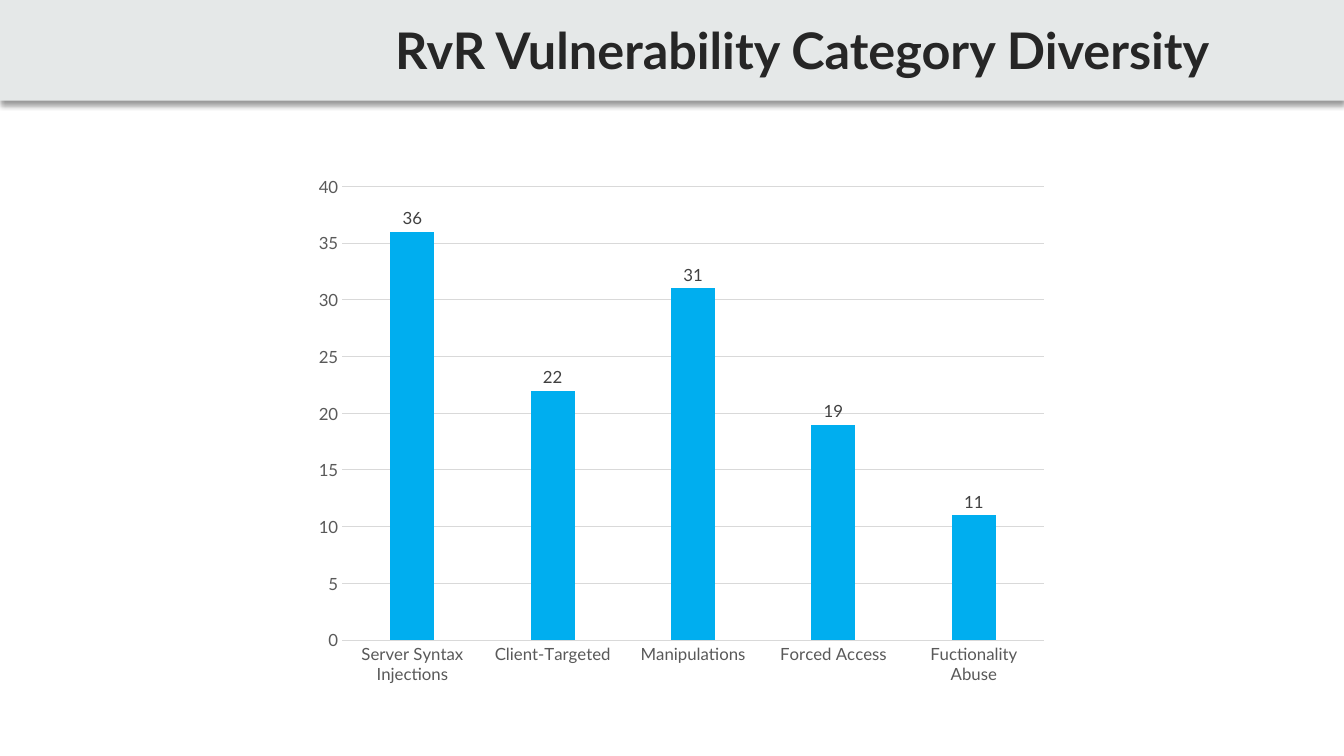
from lxml import etree
from pptx import Presentation
from pptx.chart.data import CategoryChartData
from pptx.dml.color import RGBColor
from pptx.enum.chart import XL_CHART_TYPE, XL_LABEL_POSITION, XL_TICK_MARK
from pptx.enum.shapes import MSO_SHAPE
from pptx.enum.text import MSO_ANCHOR, MSO_AUTO_SIZE, PP_ALIGN
from pptx.oxml import parse_xml
from pptx.oxml.ns import nsdecls, qn
from pptx.util import Inches, Pt


def color(hex_string):
    return RGBColor.from_string(hex_string)


def style_font(font, size, hex_string):
    font.name = "Lato"
    font.size = Pt(size)
    font.color.rgb = color(hex_string)


prs = Presentation()
prs.slide_width, prs.slide_height = Inches(13.33), Inches(7.5)
s = prs.slides.add_slide(prs.slide_layouts[5])

# Header band with a soft shadow, placed behind the title
band = s.shapes.add_shape(MSO_SHAPE.RECTANGLE, 0, 0, prs.slide_width, Inches(1))
band.fill.solid()
band.fill.fore_color.rgb = color("E5E8E8")
band.line.fill.background()
band.shadow.inherit = False
effects = band._element.spPr.find(qn("a:effectLst"))
effects.append(parse_xml(
    f'<a:outerShdw {nsdecls("a")} blurRad="{Pt(4)}" dist="{Pt(3)}" dir="5400000" '
    'algn="t" rotWithShape="0"><a:srgbClr val="000000"><a:alpha val="40000"/>'
    '</a:srgbClr></a:outerShdw>'))
s.shapes._spTree.insert(2, band._element)

# Title
title = s.shapes.title
title.left, title.top = Inches(3.82), Inches(-0.33)
title.width, title.height = Inches(9.51), Inches(1.17)
tf = title.text_frame
tf.text = "RvR Vulnerability Category Diversity"
tf.word_wrap = True
tf.auto_size = MSO_AUTO_SIZE.NONE
tf.vertical_anchor = MSO_ANCHOR.BOTTOM
p = tf.paragraphs[0]
p.alignment = PP_ALIGN.LEFT
p.line_spacing = 0.8
r = p.runs[0]
style_font(r.font, 36, "262626")
r.font.bold = True

# Column chart
data = CategoryChartData()
data.categories = ["Server Syntax Injections", "Client-Targeted", "Manipulations",
                   "Forced Access", "Fuctionality Abuse"]
data.add_series("Series 1", [36, 22, 31, 19, 11])
chart = s.shapes.add_chart(XL_CHART_TYPE.COLUMN_CLUSTERED, Inches(2.83), Inches(1.75),
                           Inches(7.53), Inches(5.05), data).chart
style_font(chart.font, 10, "000000")
chart.has_title = False
chart.has_legend = False

# Columns and their values
plot = chart.plots[0]
plot.gap_width = 219
plot.overlap = -27
plot.vary_by_categories = False
columns = plot.series[0]
columns.format.fill.solid()
columns.format.fill.fore_color.rgb = color("00AEEF")
labels = columns.data_labels
labels.show_value = True
labels.position = XL_LABEL_POSITION.OUTSIDE_END
style_font(labels.font, 12, "404040")

# Axes and gridlines
for axis in (chart.category_axis, chart.value_axis):
    axis.major_tick_mark = axis.minor_tick_mark = XL_TICK_MARK.NONE
    style_font(axis.tick_labels.font, 12, "595959")
values = chart.value_axis
values.minimum_scale, values.maximum_scale, values.major_unit = 0, 40, 5
values.format.line.fill.background()
values.has_major_gridlines = True
for line in (chart.category_axis.format.line, values.major_gridlines.format.line):
    line.color.rgb = color("D9D9D9")
    line.width = Pt(0.75)

# Inner plot area, as shares of the chart
area = chart._chartSpace.chart.plotArea
for old in area.findall(qn("c:layout")):
    area.remove(old)
layout = etree.Element(qn("c:layout"))
manual = etree.SubElement(layout, qn("c:manualLayout"))
for tag, val in [("layoutTarget", "inner"), ("xMode", "edge"), ("yMode", "edge"),
                 ("x", 0.075), ("y", 0.019), ("w", 0.925), ("h", 0.892)]:
    etree.SubElement(manual, qn(f"c:{tag}")).set("val", str(val))
area.insert(0, layout)

prs.save("out.pptx")
